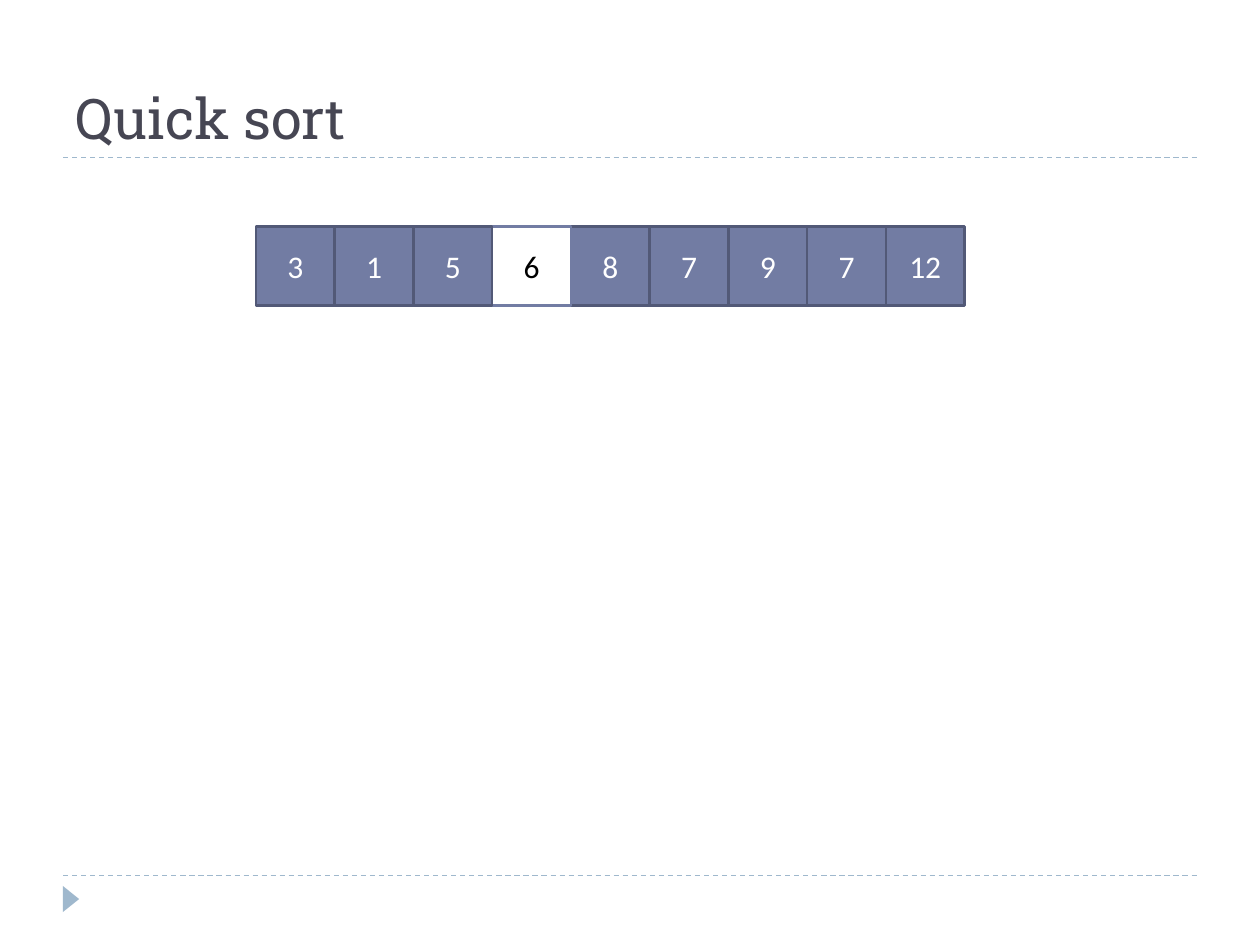
"""Build the quick sort slide: an array split around its pivot."""
from lxml import etree
from pptx import Presentation
from pptx.dml.color import RGBColor
from pptx.enum import dml, shapes, text
from pptx.oxml import ns
from pptx.util import Pt


def color(hex_value):
    return RGBColor.from_string(hex_value)


deck = Presentation()
deck.slide_width, deck.slide_height = Pt(720), Pt(540)
slide = deck.slides.add_slide(deck.slide_layouts[5])

for rule_y in (500.4, 90):
    rule = slide.shapes.add_connector(
        shapes.MSO_CONNECTOR.STRAIGHT, Pt(36), Pt(rule_y), Pt(684), Pt(rule_y))
    rule.line.color.rgb = color("9FB8CD")
    rule.line.width = Pt(0.75)
    rule.line.dash_style = dml.MSO_LINE.DASH
    etree.SubElement(rule._element.spPr, ns.qn("a:effectLst"))

marker = slide.shapes.add_shape(
    shapes.MSO_SHAPE.ISOSCELES_TRIANGLE, Pt(33.1), Pt(509.1), Pt(14.9), Pt(9.3))
marker.rotation = 90
marker.shadow.inherit = False
marker.fill.solid()
marker.fill.fore_color.rgb = color("9FB8CD")
marker.line.fill.background()

title = slide.shapes.title
title.left, title.top, title.width, title.height = Pt(36), Pt(12.24), Pt(648), Pt(77.76)
title.text_frame.text = "Quick sort"
title.text_frame.vertical_anchor = text.MSO_ANCHOR.BOTTOM
heading = title.text_frame.paragraphs[0]
heading.alignment = text.PP_ALIGN.LEFT
heading_font = heading.runs[0].font
heading_font.name, heading_font.size = "Roboto Slab", Pt(32)
heading_font.color.rgb = color("464653")

values = [3, 1, 5, 6, 8, 7, 9, 7, 12]
pivot = 3
cell_size = 45

for index, value in reversed(list(enumerate(values))):
    if index == pivot:
        fill, outline, ink = "FFFFFF", "727CA3", "000000"
    else:
        fill, outline, ink = "727CA3", "525977", "FFFFFF"
    cell = slide.shapes.add_shape(
        shapes.MSO_SHAPE.RECTANGLE, Pt(146.25 + index * cell_size), Pt(129.6),
        Pt(cell_size), Pt(cell_size))
    cell.shadow.inherit = False
    cell.fill.solid()
    cell.fill.fore_color.rgb = color(fill)
    cell.line.color.rgb = color(outline)
    cell.line.width = Pt(1.5)
    cell.text_frame.text = str(value)
    cell.text_frame.vertical_anchor = text.MSO_ANCHOR.MIDDLE
    number = cell.text_frame.paragraphs[0]
    number.alignment = text.PP_ALIGN.CENTER
    number_font = number.runs[0].font
    number_font.name, number_font.size = "Calibri", Pt(18)
    number_font.color.rgb = color(ink)

deck.save("out.pptx")
